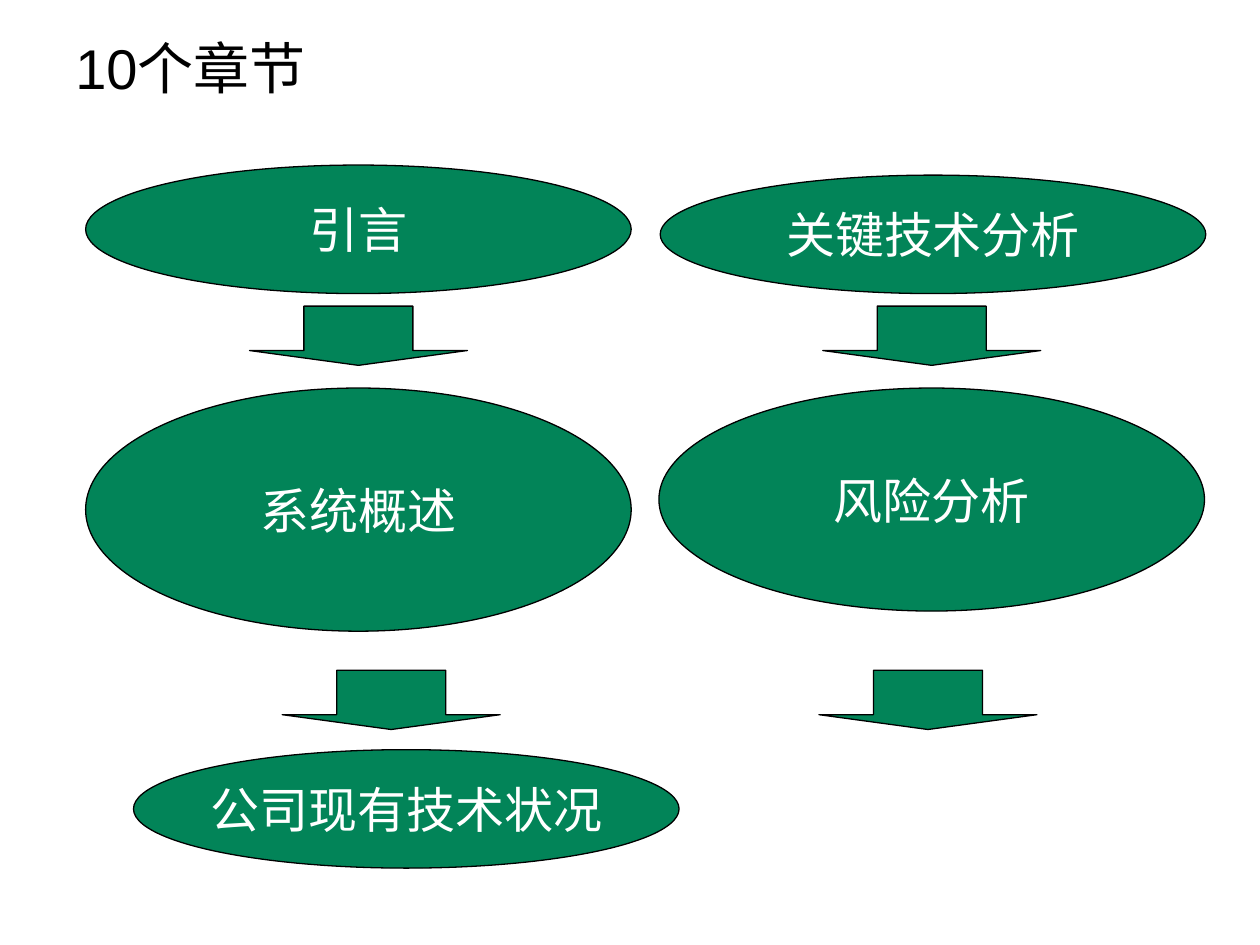
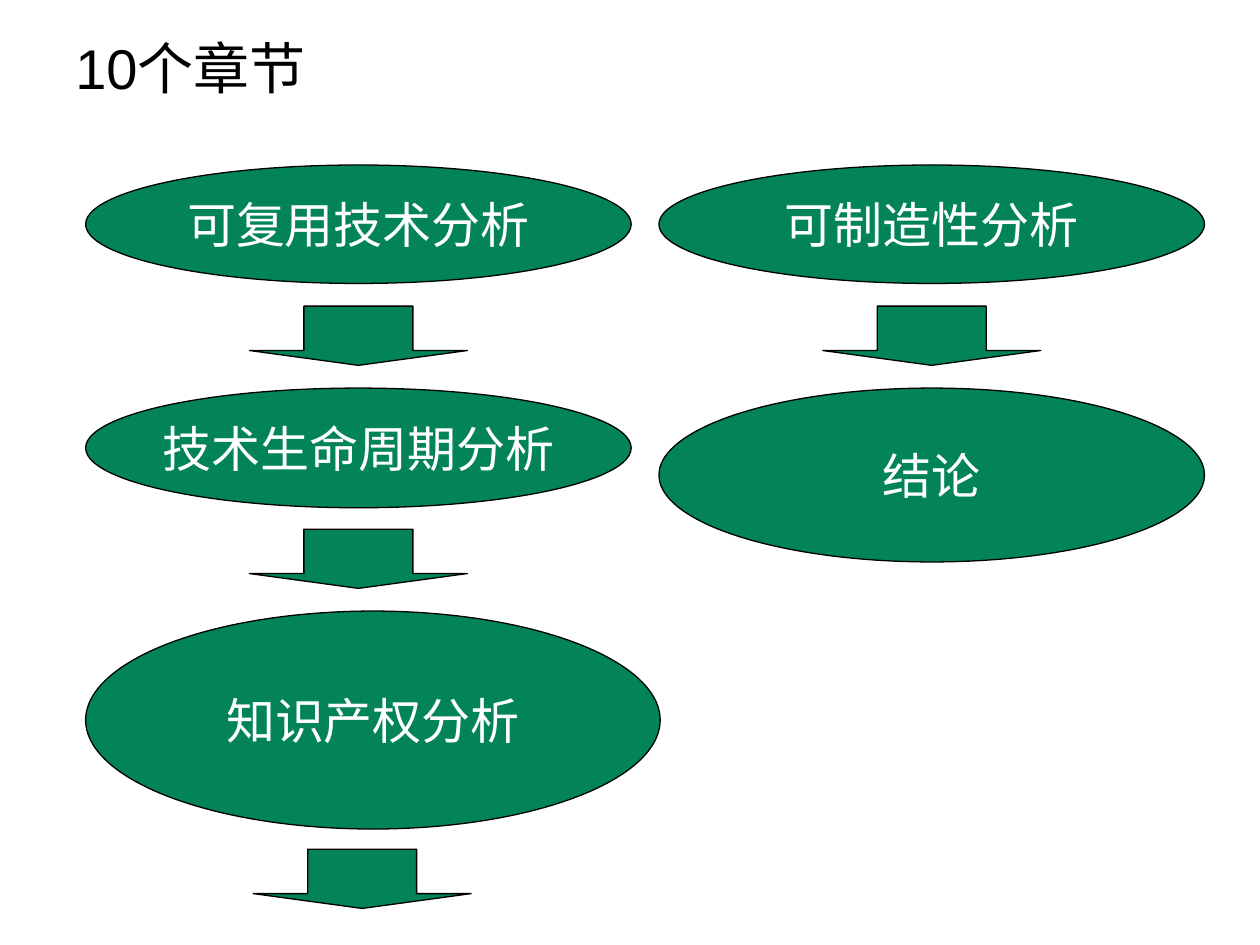
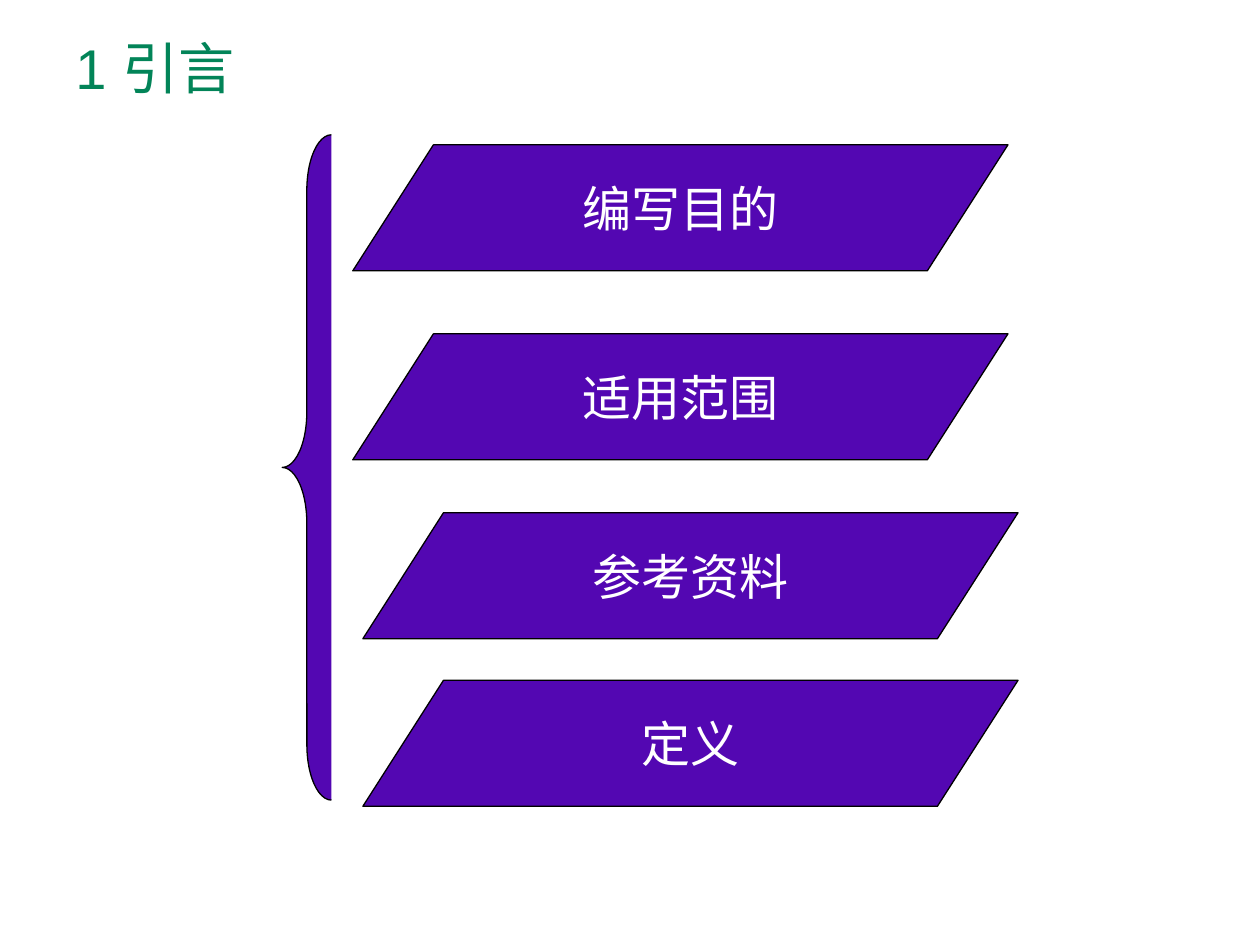
from dataclasses import dataclass

import pptx
import pptx.dml.color
import pptx.enum.shapes
import pptx.enum.text
import pptx.util
from pptx.util import Inches

SHAPES = pptx.enum.shapes.MSO_SHAPE
ALIGN = pptx.enum.text.PP_ALIGN


@dataclass(frozen=True)
class Theme:
    font: str = "Arial"
    title_size: int = 32
    label_size: int = 28
    line_width: float = 0.75
    black: str = "000000"
    white: str = "FFFFFF"
    green: str = "028458"
    purple: str = "5307B2"


@dataclass(frozen=True)
class Chapter:
    name: str
    left: float
    top: float
    height: float = 0.94
    width: float = 4.33


@dataclass(frozen=True)
class Arrow:
    left: float
    top: float


@dataclass(frozen=True)
class Section:
    name: str
    left: float
    top: float


THEME = Theme()
LEFT_COLUMN, RIGHT_COLUMN = 0.68, 5.23
ARROW_WIDTH, ARROW_HEIGHT = 1.73, 0.47
ARROW_INDENT = (Chapter.width - ARROW_WIDTH) / 2
LEFT_ARROW = LEFT_COLUMN + ARROW_INDENT
RIGHT_ARROW = RIGHT_COLUMN + ARROW_INDENT
ROW_1, ROW_2, ROW_3 = (1.31 + 1.77 * row for row in range(3))
GAP_1, GAP_2 = (2.43 + 1.77 * row for row in range(2))
CHAPTERS_TITLE = "10个章节"

FIRST_CHAPTERS = [
    Chapter("引言", LEFT_COLUMN, ROW_1, 1.02),
    Chapter("系统概述", LEFT_COLUMN, ROW_2, 1.93),
    Chapter("公司现有技术状况", 1.06, 5.95),
    Chapter("关键技术分析", 5.24, 1.39),
    Chapter("风险分析", RIGHT_COLUMN, ROW_2, 1.77),
]
FIRST_ARROWS = [
    Arrow(LEFT_ARROW, GAP_1),
    Arrow(2.24, 5.32),
    Arrow(RIGHT_ARROW, GAP_1),
    Arrow(6.5, 5.32),
]
LAST_CHAPTERS = [
    Chapter("可复用技术分析", LEFT_COLUMN, ROW_1),
    Chapter("技术生命周期分析", LEFT_COLUMN, ROW_2, 0.95),
    Chapter("知识产权分析", LEFT_COLUMN, ROW_3, 1.73, 4.56),
    Chapter("可制造性分析", RIGHT_COLUMN, ROW_1),
    Chapter("结论", RIGHT_COLUMN, ROW_2, 1.38),
]
LAST_ARROWS = [
    Arrow(LEFT_ARROW, GAP_1),
    Arrow(LEFT_ARROW, GAP_2),
    Arrow(RIGHT_ARROW, GAP_1),
    Arrow(2.01, 6.74),
]
INTRODUCTION_SECTIONS = [
    Section("编写目的", 2.8, 1.15),
    Section("适用范围", 2.8, 2.65),
    Section("参考资料", 2.88, 4.07),
    Section("定义", 2.88, 5.4),
]


def rgb(value: str) -> pptx.dml.color.RGBColor:
    return pptx.dml.color.RGBColor.from_string(value)


def write(shape, text: str, *, size: int, color: str, align=ALIGN.LEFT, wrap: bool = True) -> None:
    frame = shape.text_frame
    frame.word_wrap = wrap
    frame.vertical_anchor = pptx.enum.text.MSO_ANCHOR.MIDDLE
    paragraph = frame.paragraphs[0]
    paragraph.alignment = align
    run = paragraph.add_run()
    run.text = text
    run.font.name = THEME.font
    run.font.size = pptx.util.Pt(size)
    run.font.color.rgb = rgb(color)
    run._r.get_or_add_rPr().set("lang", "zh-CN")


def add_block(slide, kind, left: float, top: float, width: float, height: float, *,
              fill: str, text: str = "", adjustments: tuple[float, ...] = ()) -> None:
    """Draw a filled, outlined preset shape with an optional centred label."""
    block = slide.shapes.add_shape(kind, Inches(left), Inches(top), Inches(width), Inches(height))
    block.shadow.inherit = False
    block.fill.solid()
    block.fill.fore_color.rgb = rgb(fill)
    block.line.color.rgb = rgb(THEME.black)
    block.line.width = pptx.util.Pt(THEME.line_width)
    for index, value in enumerate(adjustments):
        block.adjustments[index] = value
    if text:
        write(block, text, size=THEME.label_size, color=THEME.white,
              align=ALIGN.CENTER, wrap=False)


def add_titled_slide(deck, title: str, color: str):
    slide = deck.slides.add_slide(deck.slide_layouts[6])
    heading = slide.shapes.add_textbox(Inches(0.5), Inches(0.21), Inches(9), Inches(0.64))
    write(heading, title, size=THEME.title_size, color=color)
    return slide


def add_chapters_slide(deck, chapters: list[Chapter], arrows: list[Arrow]) -> None:
    slide = add_titled_slide(deck, CHAPTERS_TITLE, THEME.black)
    for chapter in chapters:
        add_block(slide, SHAPES.OVAL, chapter.left, chapter.top, chapter.width, chapter.height,
                  fill=THEME.green, text=chapter.name)
    for arrow in arrows:
        add_block(slide, SHAPES.DOWN_ARROW, arrow.left, arrow.top, ARROW_WIDTH, ARROW_HEIGHT,
                  fill=THEME.green, adjustments=(0.5, 0.25))


def add_introduction_slide(deck) -> None:
    slide = add_titled_slide(deck, "1 引言", THEME.green)
    add_block(slide, SHAPES.LEFT_BRACE, 2.24, 1.07, 0.39, 5.28,
              fill=THEME.purple, adjustments=(1.13, 0.5))
    for section in INTRODUCTION_SECTIONS:
        add_block(slide, SHAPES.PARALLELOGRAM, section.left, section.top, 5.2, 1,
                  fill=THEME.purple, text=section.name, adjustments=(0.64,))


def main() -> None:
    deck = pptx.Presentation()
    deck.slide_width, deck.slide_height = Inches(10), Inches(7.5)
    add_chapters_slide(deck, FIRST_CHAPTERS, FIRST_ARROWS)
    add_chapters_slide(deck, LAST_CHAPTERS, LAST_ARROWS)
    add_introduction_slide(deck)
    deck.save("out.pptx")


if __name__ == "__main__":
    main()
